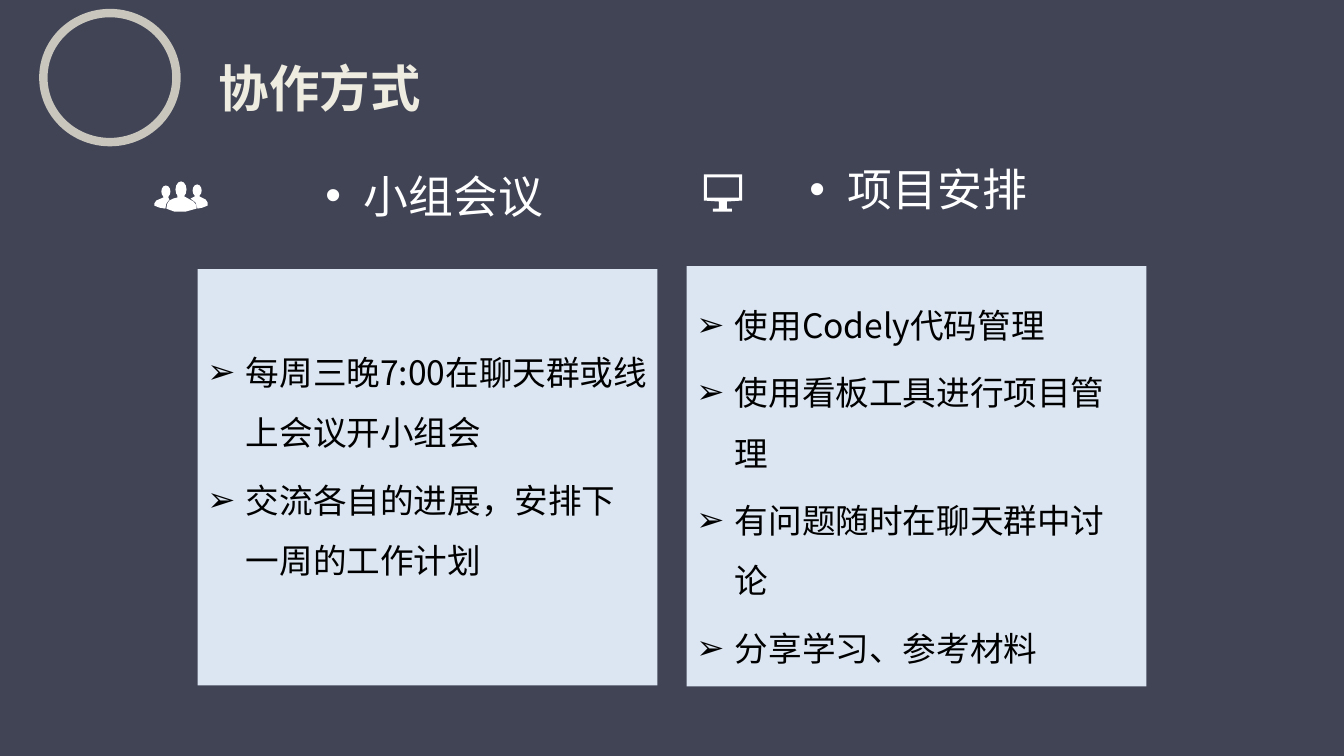
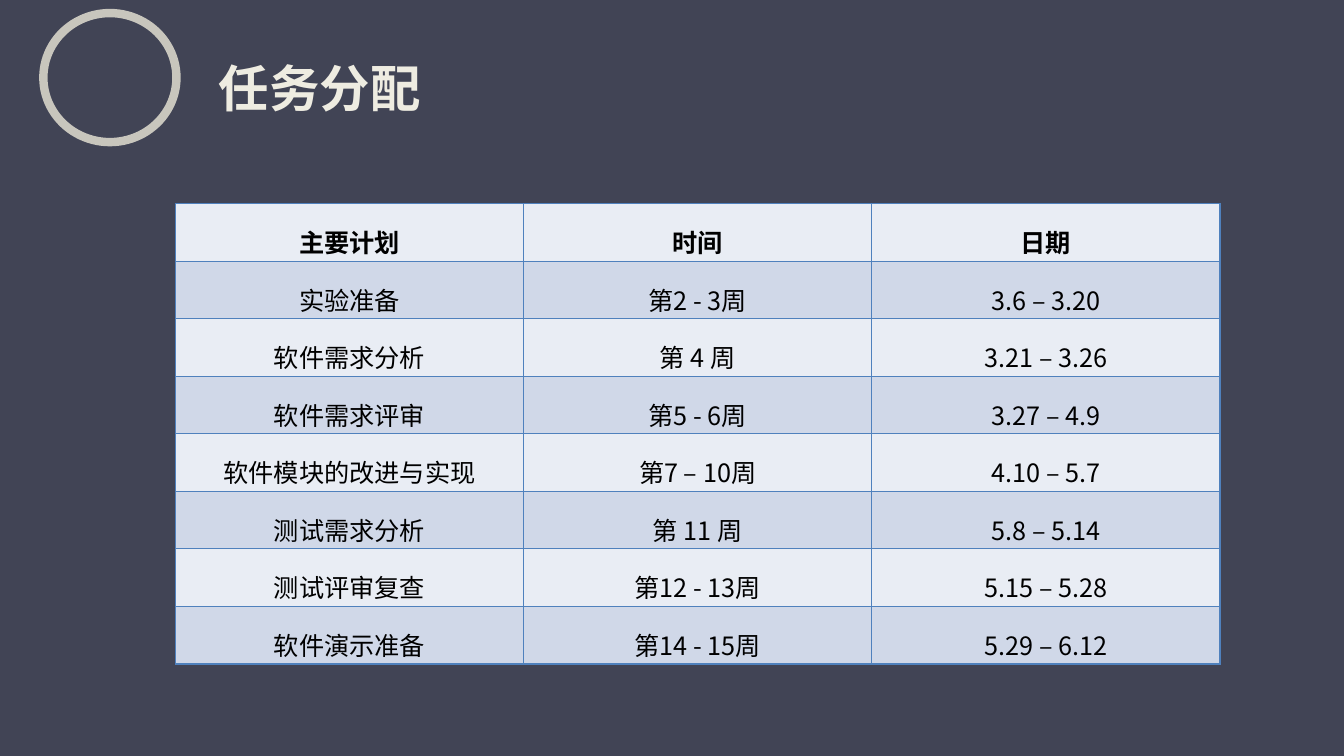
import lxml.etree
import pptx
import pptx.dml.color
import pptx.enum.shapes
import pptx.enum.text
import pptx.oxml.ns
import pptx.util

Inches = pptx.util.Inches
Pt = pptx.util.Pt
RGBColor = pptx.dml.color.RGBColor
Shape = pptx.enum.shapes.MSO_SHAPE
Align = pptx.enum.text.PP_ALIGN
Anchor = pptx.enum.text.MSO_ANCHOR
qn = pptx.oxml.ns.qn

NAVY = RGBColor(0x41, 0x44, 0x55)
CREAM = RGBColor(0xEE, 0xEC, 0xE1)
STONE = RGBColor(0xC8, 0xC6, 0xBD)
WHITE = RGBColor(0xFF, 0xFF, 0xFF)
BLACK = RGBColor(0, 0, 0)
CARD = RGBColor(0xDC, 0xE6, 0xF2)
ROW_LIGHT = RGBColor(0xE9, 0xED, 0xF4)
ROW_DARK = RGBColor(0xD0, 0xD8, 0xE8)
BORDER = RGBColor(0x4F, 0x81, 0xBD)

CJK = "Noto Sans CJK SC"
TITLE_FONT = {"name": CJK, "size": Pt(36), "bold": True}
HEADING_FONT = {"name": "Calibri", "size": Pt(32)}
CARD_FONT = {"name": CJK, "size": Pt(24)}
CELL_FONT = {"name": CJK, "size": Pt(18)}
HUNDREDTH = Inches(0.01)

MEETING_ITEMS = ["每周三晚7:00在聊天群或线上会议开小组会", "交流各自的进展，安排下一周的工作计划"]
PROJECT_ITEMS = ["使用Codely代码管理", "使用看板工具进行项目管理",
                 "有问题随时在聊天群中讨论", "分享学习、参考材料"]
SCHEDULE = [
    ("主要计划", "时间", "日期"),
    ("实验准备", "第2 - 3周", "3.6 – 3.20"),
    ("软件需求分析", "第 4 周", "3.21 – 3.26"),
    ("软件需求评审", "第5 - 6周", "3.27 – 4.9"),
    ("软件模块的改进与实现", "第7 – 10周", "4.10 – 5.7"),
    ("测试需求分析", "第 11 周", "5.8 – 5.14"),
    ("测试评审复查", "第12 - 13周", "5.15 – 5.28"),
    ("软件演示准备", "第14 - 15周", "5.29 – 6.12"),
]

BODY_CENTRE = [(23, 15), (23, 16), (19, 17), (15, 19), (13, 22), (12, 27), (20, 30),
               (31, 30), (42, 27), (42, 24), (39, 20), (30, 15), (30, 13), (23, 13)]
BODY_LEFT = [(9, 14), (9, 16), (2, 19), (0, 22), (0, 24), (5, 26), (11, 27),
             (12, 22), (15, 18), (14, 16), (14, 14)]
BODY_RIGHT = [(40, 14), (40, 15), (36, 17), (41, 21), (43, 27), (48, 26),
              (53, 24), (53, 21), (51, 18), (45, 15), (45, 14)]
HEADS = [(7, 4, 9, 12), (21, 0, 11, 16), (38, 3, 9, 12)]
MONITOR = [(0, 0), (38, 0), (38, 26), (23, 27), (23, 34), (28, 34), (28, 37),
           (9, 37), (9, 34), (15, 34), (15, 27), (0, 26)]
SCREEN = [(3, 3), (3, 23), (35, 23), (35, 3)]


def apply(target, values):
    """Set each attribute of the target from a dict."""
    for name, value in values.items():
        setattr(target, name, value)


def paint(shape, fill, line=None, width=0):
    """Give a shape a flat fill and an optional outline."""
    shape.shadow.inherit = False
    shape.fill.solid()
    shape.fill.fore_color.rgb = fill
    if line is None:
        shape.line.fill.background()
    else:
        shape.line.color.rgb = line
        shape.line.width = Pt(width)


def write(para, text, font, color):
    """Add a run of text, using the font for East Asian letters too."""
    span = para.add_run()
    span.text = text
    apply(span.font, font)
    span.font.color.rgb = color
    if font["name"] == CJK:
        east = lxml.etree.SubElement(span.font._element, qn("a:ea"))
        east.set("typeface", CJK)


def add_bullet(para, mark):
    """Give a paragraph a hanging bullet."""
    settings = para._p.get_or_add_pPr()
    settings.set("marL", str(Inches(0.38)))
    settings.set("indent", str(-Inches(0.38)))
    lxml.etree.SubElement(settings, qn("a:buFont")).set("typeface", "Arial")
    lxml.etree.SubElement(settings, qn("a:buChar")).set("char", mark)


def add_page(deck, title):
    """Add a title-only slide with its title and ring."""
    page = deck.slides.add_slide(deck.slide_layouts[5])
    holder = page.shapes.title
    apply(holder, {"left": Inches(2.07), "top": Inches(0.52),
                   "width": Inches(2.88), "height": Inches(0.71)})
    apply(holder.text_frame, {"vertical_anchor": Anchor.TOP, "word_wrap": True})
    para = holder.text_frame.paragraphs[0]
    para.alignment = Align.LEFT
    write(para, title, TITLE_FONT, CREAM)
    ring = page.shapes.add_shape(Shape.OVAL, Inches(0.43), Inches(0.13),
                                 Inches(1.32), Inches(1.28))
    paint(ring, NAVY, STONE, 6)
    return page


def add_outline(page, left, top, *contours):
    """Draw contours, in hundredths of an inch, as one white shape."""
    builder = page.shapes.build_freeform(*contours[0][0], scale=HUNDREDTH)
    builder.add_line_segments(contours[0][1:])
    for contour in contours[1:]:
        builder.move_to(*contour[0])
        builder.add_line_segments(contour[1:])
    shape = builder.convert_to_shape(Inches(left), Inches(top))
    paint(shape, WHITE)


def add_people_icon(page, left, top):
    """Draw three people side by side."""
    for body in (BODY_LEFT, BODY_RIGHT, BODY_CENTRE):
        add_outline(page, left, top, body)
    for x, y, width, height in HEADS:
        head = page.shapes.add_shape(
            Shape.OVAL, Inches(left) + x * HUNDREDTH, Inches(top) + y * HUNDREDTH,
            width * HUNDREDTH, height * HUNDREDTH)
        paint(head, WHITE)


def add_heading(page, left, top, text):
    """Add a bulleted column heading."""
    box = page.shapes.add_textbox(Inches(left), Inches(top), Inches(5.2), Inches(0.81))
    box.text_frame.word_wrap = True
    para = box.text_frame.paragraphs[0]
    add_bullet(para, "•")
    write(para, text, HEADING_FONT, WHITE)


def add_card(page, left, top, height, items, lift=0):
    """Add a pale card with a bulleted list, raised by a deeper bottom margin."""
    card = page.shapes.add_shape(Shape.RECTANGLE, Inches(left), Inches(top),
                                 Inches(4.56), Inches(height))
    paint(card, CARD)
    frame = card.text_frame
    apply(frame, {"word_wrap": True, "vertical_anchor": Anchor.MIDDLE,
                  "margin_bottom": Inches(0.05 + lift)})
    for index, item in enumerate(items):
        para = frame.add_paragraph() if index else frame.paragraphs[0]
        apply(para, {"alignment": Align.LEFT, "line_spacing": 1.5,
                     "space_before": Pt(4.8)})
        add_bullet(para, "➢")
        write(para, item, CARD_FONT, BLACK)


def add_borders(cell):
    """Draw thin lines on all four sides of a cell."""
    settings = cell._tc.get_or_add_tcPr()
    for index, side in enumerate(("a:lnL", "a:lnR", "a:lnT", "a:lnB")):
        line = lxml.etree.Element(qn(side), w=str(Pt(1)))
        fill = lxml.etree.SubElement(line, qn("a:solidFill"))
        lxml.etree.SubElement(fill, qn("a:srgbClr")).set("val", str(BORDER))
        settings.insert(index, line)


def add_schedule(page, left, top, width, height):
    """Add the schedule table with alternating rows."""
    table = page.shapes.add_table(len(SCHEDULE), len(SCHEDULE[0]), Inches(left),
                                  Inches(top), Inches(width), Inches(height)).table
    for row, texts in enumerate(SCHEDULE):
        for column, text in enumerate(texts):
            cell = table.cell(row, column)
            apply(cell, {"margin_top": 0, "margin_bottom": 0,
                         "vertical_anchor": Anchor.MIDDLE})
            cell.fill.solid()
            cell.fill.fore_color.rgb = ROW_DARK if row % 2 else ROW_LIGHT
            add_borders(cell)
            para = cell.text_frame.paragraphs[0]
            apply(para, {"alignment": Align.CENTER, "line_spacing": 1.5})
            write(para, text, {**CELL_FONT, "bold": row == 0}, BLACK)


def build_cooperation(deck):
    """Build the slide on ways of working together."""
    page = add_page(deck, "协作方式")
    add_card(page, 1.96, 2.67, 4.13, MEETING_ITEMS, 0.42)
    add_card(page, 6.81, 2.64, 4.17, PROJECT_ITEMS)
    add_people_icon(page, 1.53, 1.8)
    add_heading(page, 3.13, 1.62, "小组会议")
    add_heading(page, 7.93, 1.56, "项目安排")
    add_outline(page, 6.98, 1.73, MONITOR, SCREEN)


def build_assignment(deck):
    """Build the slide with the task schedule."""
    page = add_page(deck, "任务分配")
    add_schedule(page, 1.74, 2.02, 10.36, 4.57)


def main():
    """Build and save the deck."""
    deck = pptx.Presentation()
    apply(deck, {"slide_width": Inches(13.33), "slide_height": Inches(7.5)})
    background = deck.slide_master.background.fill
    background.solid()
    background.fore_color.rgb = NAVY
    build_cooperation(deck)
    build_assignment(deck)
    deck.save("out.pptx")


if __name__ == "__main__":
    main()
